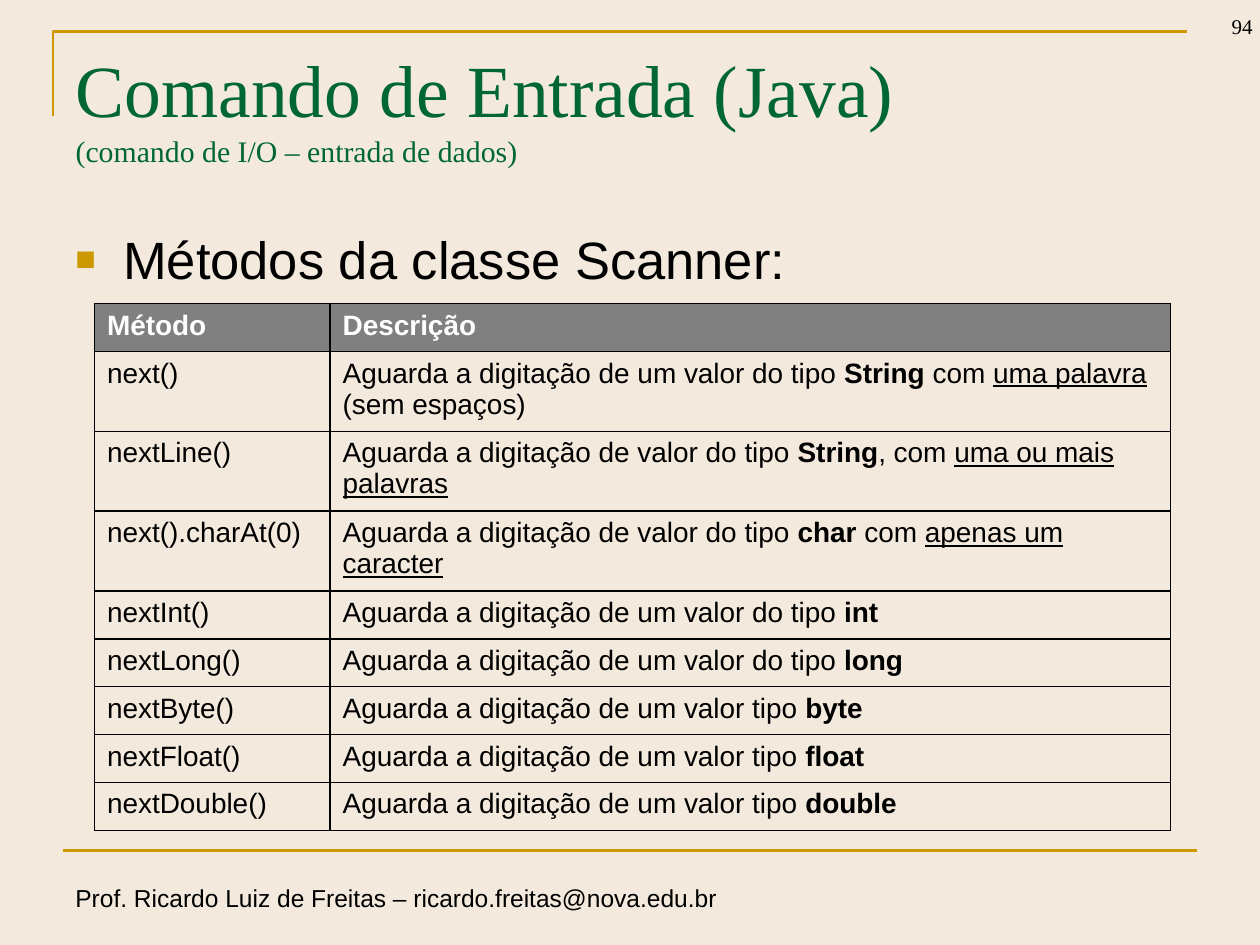
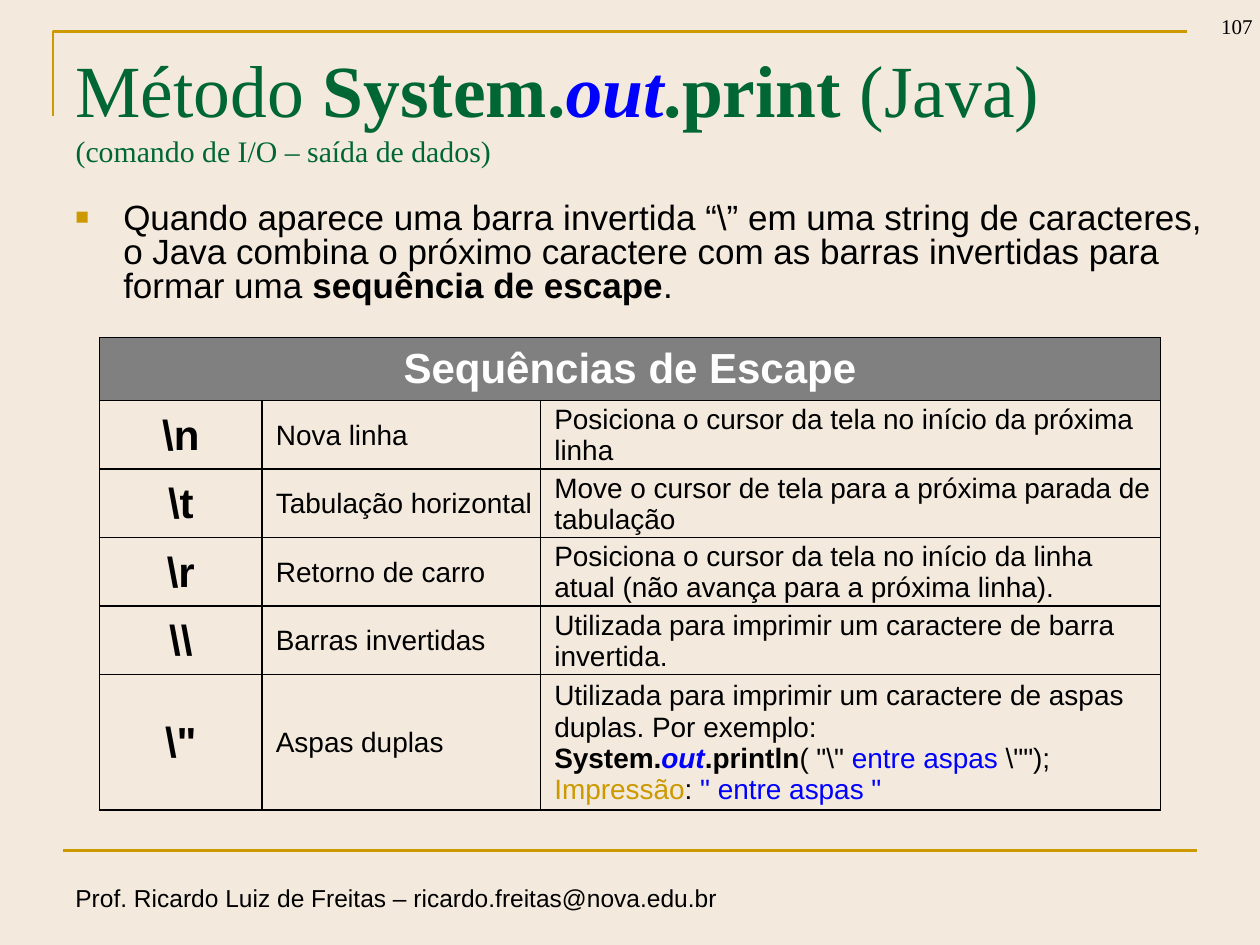
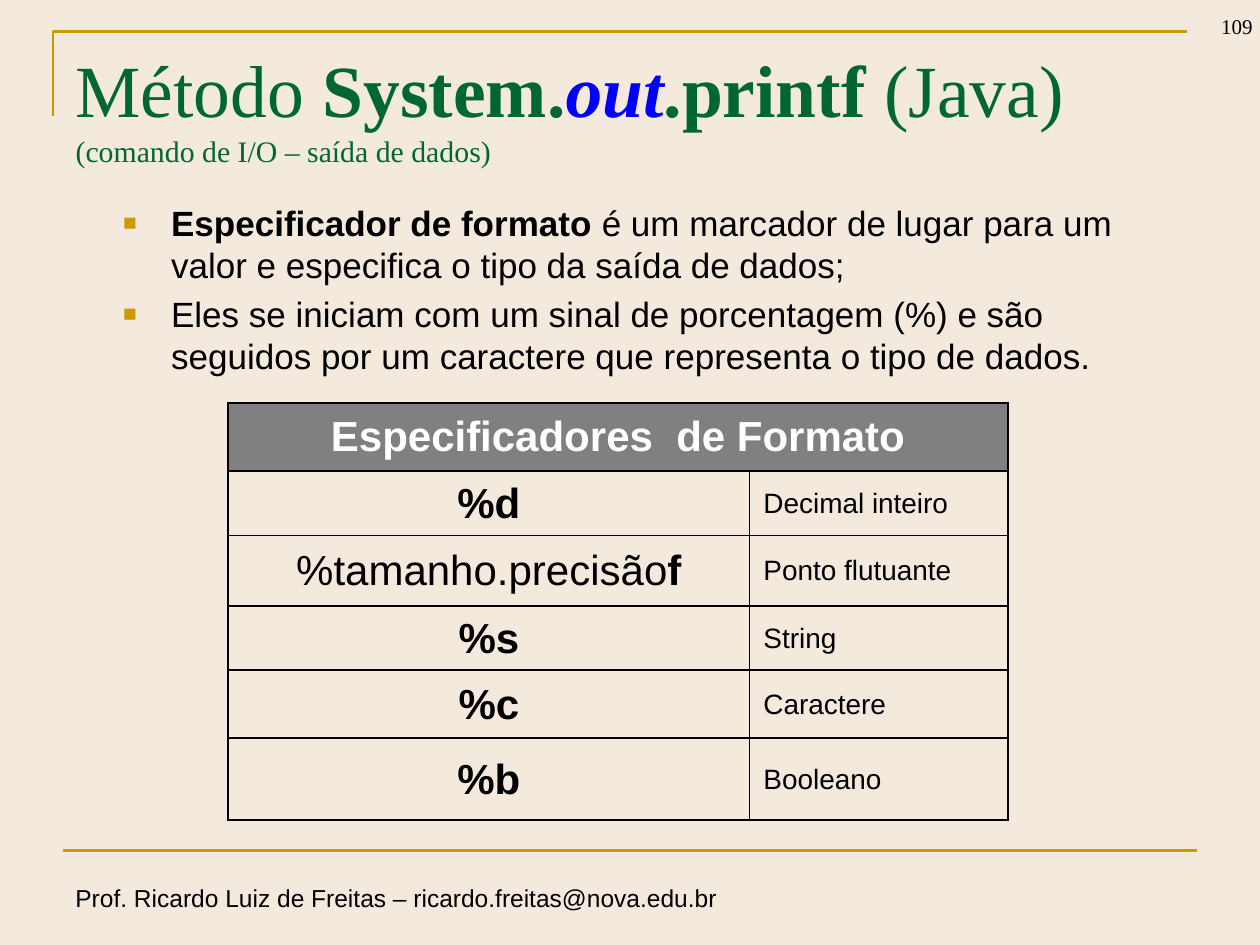
import pptx
import pptx.util
import pptx.dml.color
import pptx.enum.text
import pptx.enum.shapes
import pptx.oxml
import pptx.oxml.ns
from lxml import etree

RGB = pptx.dml.color.RGBColor
CREAM = RGB(0xF3, 0xEA, 0xDD)
GOLD = RGB(0xCC, 0x99, 0x00)
GREEN = RGB(0x00, 0x66, 0x33)
BLUE = RGB(0x00, 0x00, 0xFF)
GRAY = RGB(0x80, 0x80, 0x80)
BLACK = RGB(0x00, 0x00, 0x00)
WHITE = RGB(0xFF, 0xFF, 0xFF)
SANS, SERIF = "Arial", "Times New Roman"
ALIGN = pptx.enum.text.PP_ALIGN
ANCHOR = pptx.enum.text.MSO_ANCHOR
Pt = pptx.util.Pt
qn = pptx.oxml.ns.qn

deck = pptx.Presentation()
deck.slide_width, deck.slide_height = pptx.util.Inches(10), pptx.util.Inches(7.5)
COL, ROW = deck.slide_width / 100, deck.slide_height / 75

STYLES = {
    "": {},
    "bold": {"bold": True},
    "plain": {"bold": False},
    "under": {"underline": True},
    "out": {"bold": True, "italic": True, "color": BLUE},
    "blue": {"color": BLUE},
    "gold": {"color": GOLD},
    "small": {"size": Pt(17)},
}


def at(left, top, width, height):
    return [round(n * unit) for n, unit in
            zip((left, top, width, height), (COL, ROW, COL, ROW))]


def write(para, runs, size, name=SANS, color=BLACK, bold=False):
    base = {"size": Pt(size), "name": name, "color": color, "bold": bold}
    for text, style in [(runs, "")] if isinstance(runs, str) else runs:
        if text == "\n":
            para.add_line_break()
            continue
        run = para.add_run()
        run.text = text
        for key, val in {**base, **STYLES[style]}.items():
            if key == "color":
                run.font.color.rgb = val
            else:
                setattr(run.font, key, val)


WAIT = "Aguarda a digitação de "
OUTPUT = "(comando de I/O – saída de dados)"

PAGES = [
    {
        "num": "94",
        "title": [("Comando de Entrada (Java)", "")],
        "sub": "(comando de I/O – entrada de dados)",
        "body": (5, 17.5, 90, 49.5), "size": 30, "lead": 1.0,
        "points": ["Métodos da classe Scanner:"],
        "grid": (7.5, 24.1), "cols": [18.7, 66.7],
        "rows": [3.8] + [5.9] * 3 + [3.8] * 5,
        "head": ["Método", "Descrição"], "coded": False,
        "cells": [
            ["next()", [(WAIT + "um valor do tipo ", ""), ("String", "bold"), (" com ", ""),
                        ("uma palavra ", "under"), ("(sem espaços)", "")]],
            ["nextLine()", [(WAIT + "valor do tipo ", ""), ("String", "bold"), (", com ", ""),
                            ("uma ou mais palavras", "under")]],
            ["next().charAt(0)", [(WAIT + "valor do tipo ", ""), ("char", "bold"), (" com ", ""),
                                  ("apenas um caracter", "under")]],
        ] + [
            [f"next{kind.title()}()", [(f"{WAIT}um valor {link} ", ""), (kind, "bold")]]
            for kind, link in [("int", "do tipo"), ("long", "do tipo"), ("byte", "tipo"),
                               ("float", "tipo"), ("double", "tipo")]
        ],
    },
    {
        "num": "107",
        "title": [("Método ", ""), ("System.", "bold"), ("out", "out"),
                  (".print ", "bold"), ("(Java)", "")],
        "sub": OUTPUT,
        "body": (5, 15.7, 91.5, 9.1), "size": 20, "lead": 0.8,
        "points": [[("Quando aparece uma barra invertida “\\” em uma string de caracteres, "
                     "o Java combina o próximo caractere com as barras invertidas para "
                     "formar uma ", ""), ("sequência de escape", "bold"), (".", "")]],
        "grid": (7.9, 26.8), "cols": [12.9, 22.1, 49.2],
        "rows": [4.7] + [5.04] * 4 + [10],
        "head": ["Sequências de Escape"], "coded": True,
        "cells": [
            ["\\n", "Nova linha", "Posiciona o cursor da tela no início da próxima linha"],
            ["\\t", "Tabulação horizontal",
             "Move o cursor de tela para a próxima parada de tabulação"],
            ["\\r", "Retorno de carro",
             "Posiciona o cursor da tela no início da linha atual "
             "(não avança para a próxima linha)."],
            ["\\\\", "Barras invertidas",
             "Utilizada para imprimir um caractere de barra invertida."],
            ["\\\"", "Aspas duplas", (
                "Utilizada para imprimir um caractere de aspas duplas. Por exemplo:",
                [("System.", "bold"), ("out", "out"), (".println", "bold"), ("( \"\\\" ", ""),
                 ("entre aspas ", "blue"), ("\\\"\");", "")],
                [("Impressão", "gold"), (": ", ""), ("\" entre aspas \"", "blue")])],
        ],
    },
    {
        "num": "109",
        "title": [("Método ", ""), ("System.", "bold"), ("out", "out"),
                  (".printf ", "bold"), ("(Java)", "")],
        "sub": OUTPUT,
        "body": (8.8, 15.5, 85.3, 15), "size": 20, "lead": 1.0,
        "points": [
            [("Especificador de formato ", "bold"),
             ("é um marcador de lugar para um valor e especifica o tipo da saída de dados;", "")],
            "Eles se iniciam com um sinal de porcentagem (%) e são seguidos por um "
            "caractere que representa o tipo de dados."],
        "grid": (18.1, 32), "cols": [41.4, 20.5],
        "rows": [5.4, 5.1, 5.6, 5.1, 5.4, 6.5],
        "head": ["Especificadores  de Formato"], "coded": True,
        "cells": [
            ["%d", "Decimal inteiro"],
            [[("%tamanho.precisão", "plain"), ("f", "bold")], "Ponto flutuante"],
            ["%s", "String"],
            ["%c", "Caractere"],
            ["%b", "Booleano"],
        ],
    },
]

for page in PAGES:
    slide = deck.slides.add_slide(deck.slide_layouts[5])
    shapes = slide.shapes
    slide.background.fill.solid()
    slide.background.fill.fore_color.rgb = CREAM

    left, top, wide, high = at(4.2, 2.5, 90, 6.7)
    pen = shapes.build_freeform(left, top + high)
    pen.add_line_segments([(left, top), (left + wide, top)], close=False)
    frame = pen.convert_to_shape()
    frame.shadow.inherit = False
    frame.fill.background()
    left, top, wide, high = at(5, 67.5, 90, 0)
    rule = shapes.add_connector(pptx.enum.shapes.MSO_CONNECTOR.STRAIGHT,
                                left, top, left + wide, top)
    etree.SubElement(rule._element.spPr, qn("a:effectLst"))
    for item in (frame, rule):
        item.line.color.rgb = GOLD
        item.line.width = Pt(1.5)

    foot = shapes.add_textbox(*at(5, 69.6, 55.2, 3.4)).text_frame
    foot.word_wrap = False
    write(foot.paragraphs[0], "Prof. Ricardo Luiz de Freitas – ricardo.freitas@nova.edu.br", 14)

    num = shapes.add_textbox(*at(92.9, -1.4, 7.5, 5)).text_frame
    num.word_wrap = True
    num.vertical_anchor = ANCHOR.BOTTOM
    num.paragraphs[0].alignment = ALIGN.RIGHT
    write(num.paragraphs[0], page["num"], 12, SERIF)

    title = shapes.title
    title.left, title.top, title.width, title.height = at(5, 3, 90, 12.5)
    title.text_frame.auto_size = pptx.enum.text.MSO_AUTO_SIZE.NONE
    title.text_frame.vertical_anchor = ANCHOR.TOP
    para = title.text_frame.paragraphs[0]
    para.alignment = ALIGN.LEFT
    write(para, page["title"] + [("\n", ""), (page["sub"], "small")], 42, SERIF, GREEN)

    body = shapes.add_textbox(*at(*page["body"])).text_frame
    body.word_wrap = True
    for i, point in enumerate(page["points"]):
        para = body.add_paragraph() if i else body.paragraphs[0]
        para.space_before = Pt(page["size"] * 0.2)
        para.line_spacing = page["lead"]
        props = para._p.get_or_add_pPr()
        props.set("marL", str(round(3.8 * COL)))
        props.set("indent", str(round(-3.8 * COL)))
        tint = etree.SubElement(props, qn("a:buClr"))
        etree.SubElement(tint, qn("a:srgbClr"), val=str(GOLD))
        etree.SubElement(props, qn("a:buSzPct"), val="65000")
        etree.SubElement(props, qn("a:buFont"), typeface=SANS)
        etree.SubElement(props, qn("a:buChar"), char="■")
        write(para, point, page["size"])

    cols, rows, coded = page["cols"], page["rows"], page["coded"]
    table = shapes.add_table(len(rows), len(cols),
                             *at(*page["grid"], sum(cols), sum(rows))).table
    table.first_row = table.horz_banding = False
    for line, share in zip(table.columns, cols):
        line.width = round(share * COL)
    for line, share in zip(table.rows, rows):
        line.height = round(share * ROW)

    for cell in table.iter_cells():
        props = cell._tc.get_or_add_tcPr()
        for side in ("a:lnL", "a:lnR", "a:lnT", "a:lnB"):
            edge = etree.SubElement(props, qn(side), w=str(Pt(1)))
            fill = etree.SubElement(edge, qn("a:solidFill"))
            etree.SubElement(fill, qn("a:srgbClr"), val=str(BLACK))
        cell.fill.background()

    if coded:
        table.cell(0, 0).merge(table.cell(0, len(cols) - 1))
    for r, texts in enumerate([page["head"]] + page["cells"]):
        for c, text in enumerate(texts):
            cell = table.cell(r, c)
            big = coded and (r == 0 or c == 0)
            if r == 0:
                cell.fill.solid()
                cell.fill.fore_color.rgb = GRAY
            if coded:
                cell.vertical_anchor = ANCHOR.MIDDLE
            if coded and r:
                inset = {"margin_left": 0.1 if big else 1.1, "margin_right": 0.1,
                         "margin_top": 0.1, "margin_bottom": 0}
                for key, val in inset.items():
                    setattr(cell, key, round(val * COL))
            for i, part in enumerate(text if isinstance(text, tuple) else (text,)):
                para = cell.text_frame.add_paragraph() if i else cell.text_frame.paragraphs[0]
                para.alignment = ALIGN.CENTER if big else ALIGN.LEFT
                write(para, part, 24 if big else 16, color=BLACK if r else WHITE,
                      bold=big or r == 0)

deck.save("out.pptx")
